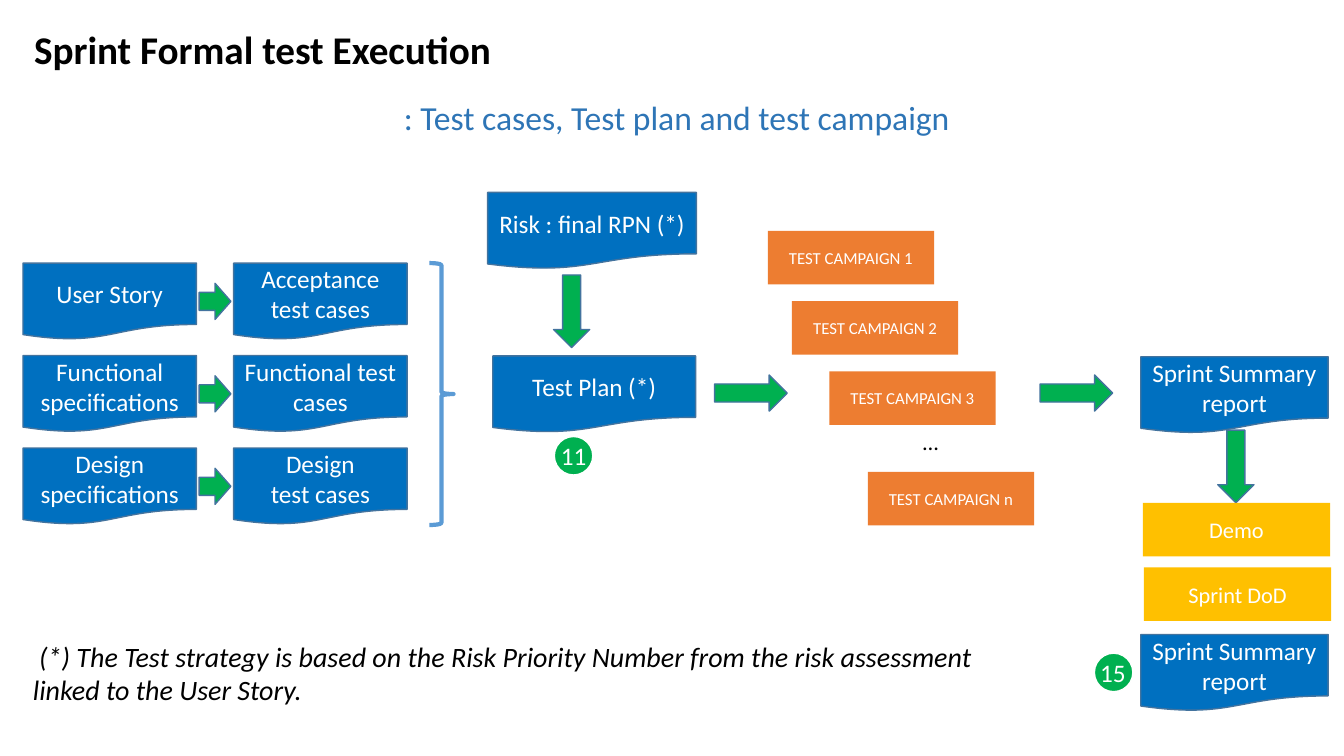
from pptx import Presentation
from pptx.dml.color import RGBColor
from pptx.enum.shapes import MSO_SHAPE
from pptx.enum.text import MSO_ANCHOR, PP_ALIGN
from pptx.util import Cm, Pt

BLUE, GREEN, ORANGE, GOLD = "0070C0", "00B050", "ED7D31", "FFC000"
WHITE, BLACK, OUTLINE = "FFFFFF", "000000", "43739E"
DOCUMENT_HEIGHT, BAR_HEIGHT = 1.93, 1.35
ARROW_WIDTH, ARROW_HEIGHT = 1.83, 0.91
BADGE_SIZE = 0.97


def color(value):
    return RGBColor.from_string(value)


def write_text(shape, text, alignment, size, font_color, **formats):
    frame = shape.text_frame
    frame.word_wrap = True
    frame.text = text
    for paragraph in frame.paragraphs:
        paragraph.alignment = alignment
        paragraph.font.color.rgb = color(font_color)
        values = {"name": "Calibri", "size": Pt(size), **formats}
        for name, value in values.items():
            setattr(paragraph.font, name, value)
    return frame


def add_label(slide, box, text, size, font_color, **formats):
    shape = slide.shapes.add_textbox(*map(Cm, box))
    return write_text(shape, text, PP_ALIGN.LEFT, size, font_color, **formats)


def add_block(slide, kind, box, fill=None, line=None, line_width=1):
    shape = slide.shapes.add_shape(kind, *map(Cm, box))
    shape.shadow.inherit = False
    if fill:
        shape.fill.solid()
        shape.fill.fore_color.rgb = color(fill)
    else:
        shape.fill.background()
    if line:
        shape.line.color.rgb = color(line)
        shape.line.width = Pt(line_width)
    else:
        shape.line.fill.background()
    return shape


def add_document(slide, left, top, width, text):
    box = (left, top, width, DOCUMENT_HEIGHT)
    shape = add_block(slide, MSO_SHAPE.FLOWCHART_DOCUMENT, box, BLUE, OUTLINE)
    frame = write_text(shape, text, PP_ALIGN.CENTER, 18, WHITE)
    frame.vertical_anchor = MSO_ANCHOR.MIDDLE


def add_bar(slide, left, top, width, text, fill, size):
    box = (left, top, width, BAR_HEIGHT)
    shape = add_block(slide, MSO_SHAPE.RECTANGLE, box, fill)
    frame = write_text(shape, text, PP_ALIGN.CENTER, size, WHITE)
    frame.vertical_anchor = MSO_ANCHOR.MIDDLE


def add_arrow(slide, left, top, width=ARROW_WIDTH, rotation=0):
    box = (left, top, width, ARROW_HEIGHT)
    shape = add_block(slide, MSO_SHAPE.RIGHT_ARROW, box, GREEN, OUTLINE)
    shape.rotation = rotation


def add_badge(slide, left, top, text, alignment):
    box = (left, top, BADGE_SIZE, BADGE_SIZE)
    shape = add_block(slide, MSO_SHAPE.OVAL, box, GREEN, WHITE)
    frame = write_text(shape, text, alignment, 18, WHITE)
    values = {"margin_left": 0, "margin_right": 0, "vertical_anchor": MSO_ANCHOR.MIDDLE}
    for name, value in values.items():
        setattr(frame, name, value)


def draw_header(slide, left, top):
    title = add_label(slide, (left, top, 15.34, 1.49),
                      "Sprint Formal test Execution", 28, BLACK, bold=True)
    title.paragraphs[0].line_spacing = 0.9
    subtitle = add_label(slide, (left + 9.32, top + 1.67, 14.38, 1.27),
                         ": Test cases, Test plan and test campaign", 24, "2E75B6")
    subtitle.word_wrap = False


def draw_test_cases(slide, left, top):
    width, column_step, row_step = 4.37, 5.31, 2.33
    arrow_width = 0.8
    arrow_left = left + (width + column_step - arrow_width) / 2
    arrow_drop = (DOCUMENT_HEIGHT - ARROW_HEIGHT) / 2
    rows = [
        ("User Story", "Acceptance test cases"),
        ("Functional specifications", "Functional test cases"),
        ("Design\nspecifications", "Design\ntest cases"),
    ]
    for index, (source, cases) in enumerate(rows):
        row_top = top + index * row_step
        add_document(slide, left, row_top, width, source)
        add_document(slide, left + column_step, row_top, width, cases)
        add_arrow(slide, arrow_left, row_top + arrow_drop, arrow_width)
    brace = (left + 10.24, top, 0.61, 6.6)
    add_block(slide, MSO_SHAPE.RIGHT_BRACE, brace, line="5B9BD5", line_width=3)


def draw_test_plan(slide, left, top):
    add_document(slide, left, top, 5.26, "Risk : final RPN (*)")
    add_arrow(slide, left + 1.2, top + 2.54, rotation=90)
    add_document(slide, left + 0.13, top + 4.12, 5.11, "Test Plan (*)")
    add_badge(slide, left + 1.68, top + 6.15, "11", PP_ALIGN.CENTER)
    add_arrow(slide, left + 5.72, top + 4.6)


def draw_campaigns(slide, left, top):
    step = 1.77
    campaigns = [("1", 0, 0), ("2", 0.61, step), ("3", 1.55, 2 * step), ("n", 2.52, 6.07)]
    for name, offset, drop in campaigns:
        add_bar(slide, left + offset, top + drop, 4.19, f"TEST CAMPAIGN {name}", ORANGE, 12)
    add_label(slide, (left + 3.66, top + 4.85, 0.74, 0.94), "…", 16, BLACK)
    add_arrow(slide, left + 6.86, top + 3.63)


def draw_reports(slide, left, top):
    width = 4.72
    for drop in (0, 7):
        add_document(slide, left, top + drop, width, "Sprint Summary report")
    add_arrow(slide, left + 1.48, top + 2.31, rotation=90)
    add_bar(slide, left + 0.05, top + 3.68, width, "Demo", GOLD, 16)
    add_bar(slide, left + 0.08, top + 5.31, width, "Sprint DoD", GOLD, 16)
    add_badge(slide, left - 1.17, top + 7.47, "15", PP_ALIGN.LEFT)


def draw_note(slide, left, top):
    add_label(slide, (left, top, 25.35, 1.96),
              " (*) The Test strategy is based on the Risk Priority Number "
              "from the risk assessment linked to the User Story.", 20, BLACK, italic=True)


def main():
    presentation = Presentation()
    presentation.slide_width = Cm(33.87)
    presentation.slide_height = Cm(19.05)
    slide = presentation.slides.add_slide(presentation.slide_layouts[6])
    draw_header(slide, 0.61, 0.64)
    draw_test_cases(slide, 0.58, 6.63)
    draw_test_plan(slide, 12.29, 4.85)
    draw_campaigns(slide, 19.35, 5.82)
    draw_reports(slide, 28.75, 8.99)
    draw_note(slide, 0.58, 15.98)
    presentation.save("out.pptx")


if __name__ == "__main__":
    main()
